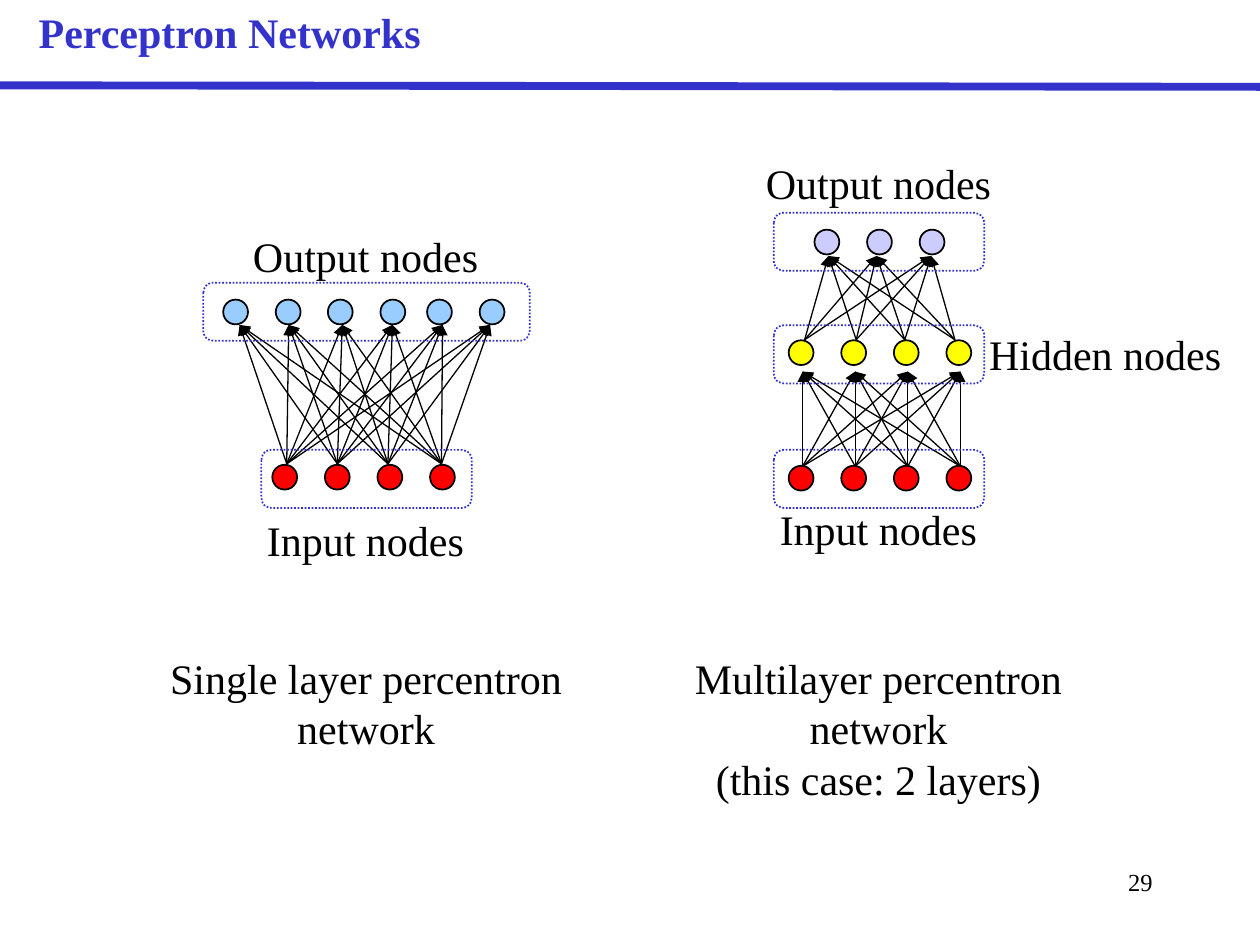
from dataclasses import dataclass
from itertools import product
from typing import Sequence

from lxml.etree import SubElement
from pptx import Presentation
from pptx.dml.color import RGBColor as RGB
from pptx.enum.dml import MSO_LINE_DASH_STYLE as Dash
from pptx.enum.shapes import MSO_CONNECTOR as Conn, MSO_SHAPE as Shape
from pptx.enum.text import MSO_AUTO_SIZE as AutoSize, PP_ALIGN as Align
from pptx.oxml.ns import qn
from pptx.util import Cm, Pt


@dataclass(frozen=True)
class Theme:
    font: str = "Times New Roman"
    accent: RGB = RGB(0x33, 0x33, 0xCC)
    black: RGB = RGB(0, 0, 0)
    red: RGB = RGB(0xFF, 0, 0)
    yellow: RGB = RGB(0xFF, 0xFF, 0)
    sky: RGB = RGB(0x99, 0xCC, 0xFF)
    lavender: RGB = RGB(0xCC, 0xCC, 0xFF)
    body: int = 24
    number: int = 14
    rule: float = 4.5
    outline: float = 1
    edge: float = 0.75


T = Theme()
NODE = 0.5
PITCH = 1.06
BOX_H = 1.17


@dataclass(frozen=True)
class Layer:
    """A row of nodes inside a dotted box; lengths in cm."""
    xs: Sequence[float]
    cy: float
    color: RGB
    box_left: float
    box_top: float
    box_width: float


@dataclass(frozen=True)
class Links:
    """Arrows from every start point to every end point; lengths in cm."""
    starts: Sequence[float]
    y_start: float
    ends: Sequence[float]
    y_end: float


@dataclass(frozen=True)
class Label:
    lines: Sequence[str]
    left: float
    top: float
    width: float
    height: float
    align: Align = Align.LEFT
    color: RGB = T.black
    size: int = T.body
    bold: bool = False
    wrap: bool = False


def row(first: float, count: int) -> list[float]:
    return [first + i * PITCH for i in range(count)]


LAYERS = [
    Layer([4.75, 5.81, 6.86, 7.92, 8.86, 9.92], 6.29, T.sky, 4.1, 5.7, 6.58),
    Layer(row(5.74, 4), 9.62, T.red, 5.27, 9.07, 4.24),
    Layer(row(16.67, 3), 4.88, T.lavender, 15.6, 4.29, 4.24),
    Layer(row(16.15, 4), 7.11, T.yellow, 15.6, 6.56, 4.24),
    Layer(row(16.15, 4), 9.64, T.red, 15.6, 9.07, 4.24),
]

LINKS = [
    Links([5.78, 6.8, 7.82, 8.9], 9.35,
          [4.83, 5.82, 6.9, 7.91, 8.92, 9.88], 6.55),
    Links([16.22, 17.26, 18.24, 19.25], 6.85, [16.7, 17.67, 18.77], 5.16),
    Links(row(16.18, 4), 9.4, row(16.18, 4), 7.49),
]

LABELS = [
    Label(["Perceptron Networks"], 0.53, 0, 8.5, 1.27,
          color=T.accent, bold=True),
    Label(["Output nodes"], 4.85, 4.52, 5.1, 1.27),
    Label(["Input nodes"], 5.13, 10.24, 4.55, 1.27),
    Label(["Output nodes"], 15.19, 3.05, 5.1, 1.27),
    Label(["Hidden nodes"], 19.69, 6.5, 5.25, 1.27),
    Label(["Input nodes"], 15.47, 10.03, 4.55, 1.27),
    Label(["Single layer percentron", "network"],
          3.13, 13.03, 8.5, 2.29, Align.CENTER),
    Label(["Multilayer percentron", "network", "(this case: 2 layers)"],
          13.71, 13.03, 8, 3.3, Align.CENTER),
    Label(["29"], 18.21, 17.35, 5.28, 1.27, Align.RIGHT,
          size=T.number, wrap=True),
]


def add_line(slide, x1: float, y1: float, x2: float, y2: float,
             color: RGB, width: float, arrow: bool = False) -> None:
    s = slide.shapes.add_connector(Conn.STRAIGHT, Cm(x1), Cm(y1), Cm(x2), Cm(y2))
    s.line.color.rgb = color
    s.line.width = Pt(width)
    if arrow:
        SubElement(s.line._get_or_add_ln(), qn("a:tailEnd"), type="triangle")
    SubElement(s._element.spPr, qn("a:effectLst"))


def add_outlined(slide, kind: Shape, left: float, top: float,
                 width: float, height: float, line: RGB):
    s = slide.shapes.add_shape(kind, Cm(left), Cm(top), Cm(width), Cm(height))
    s.shadow.inherit = False
    s.line.color.rgb = line
    s.line.width = Pt(T.outline)
    return s


def add_layer(slide, layer: Layer) -> None:
    for x in layer.xs:
        s = add_outlined(slide, Shape.OVAL, x - NODE / 2, layer.cy - NODE / 2,
                         NODE, NODE, T.black)
        s.fill.solid()
        s.fill.fore_color.rgb = layer.color
    box = add_outlined(slide, Shape.ROUNDED_RECTANGLE, layer.box_left,
                       layer.box_top, layer.box_width, BOX_H, T.accent)
    box.adjustments[0] = 0.17
    box.fill.background()
    box.line.dash_style = Dash.ROUND_DOT


def add_links(slide, links: Links) -> None:
    for x1, x2 in product(links.starts, links.ends):
        add_line(slide, x1, links.y_start, x2, links.y_end,
                 T.black, T.edge, arrow=True)


def add_label(slide, label: Label) -> None:
    s = slide.shapes.add_textbox(Cm(label.left), Cm(label.top),
                                 Cm(label.width), Cm(label.height))
    tf = s.text_frame
    tf.word_wrap = label.wrap
    tf.auto_size = AutoSize.NONE if label.wrap else AutoSize.SHAPE_TO_FIT_TEXT
    style = {"name": T.font, "size": Pt(label.size), "bold": label.bold}
    for i, line in enumerate(label.lines):
        p = tf.add_paragraph() if i else tf.paragraphs[0]
        p.alignment = label.align
        r = p.add_run()
        r.text = line
        for key, value in style.items():
            setattr(r.font, key, value)
        r.font.color.rgb = label.color


def main() -> None:
    prs = Presentation()
    prs.slide_width, prs.slide_height = Cm(25.4), Cm(19.05)
    slide = prs.slides.add_slide(prs.slide_layouts[6])
    add_line(slide, 0, 1.72, 25.4, 1.75, T.accent, T.rule)
    for links in LINKS:
        add_links(slide, links)
    for layer in LAYERS:
        add_layer(slide, layer)
    for label in LABELS:
        add_label(slide, label)
    prs.save("out.pptx")


if __name__ == "__main__":
    main()
